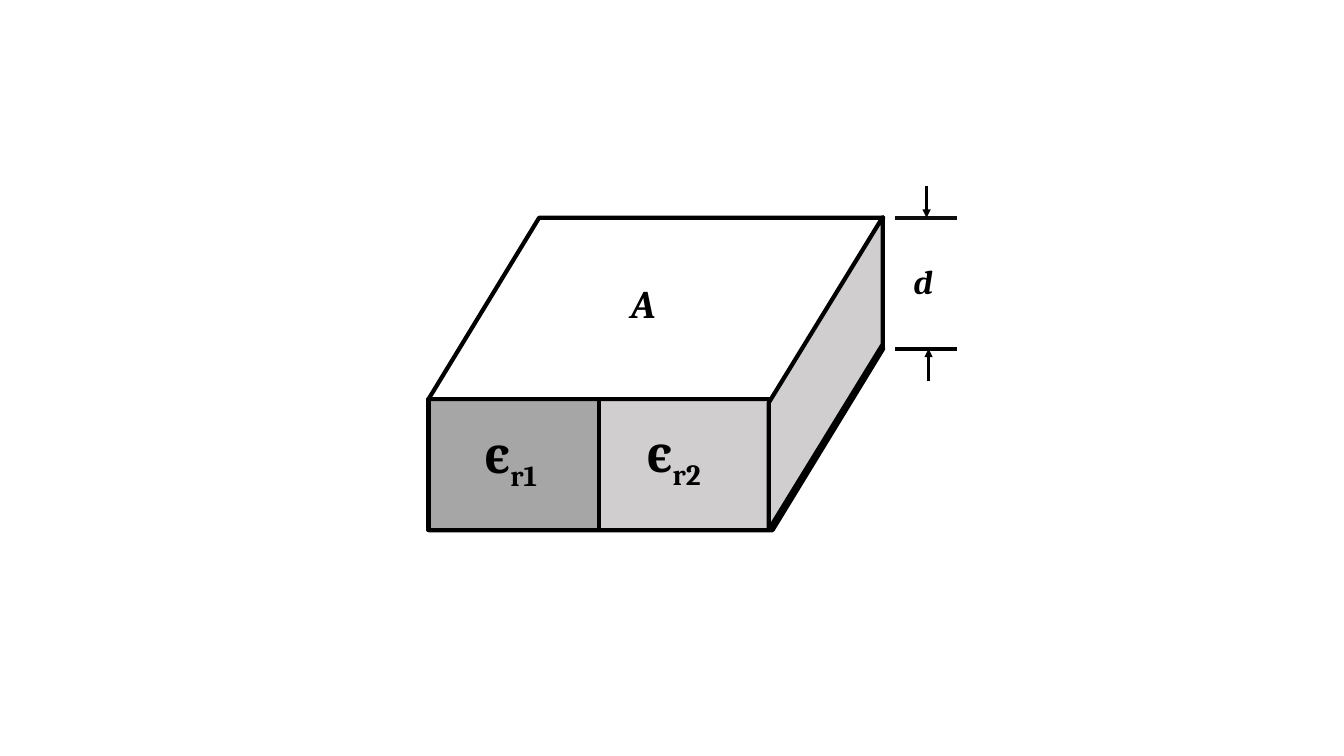
from pptx import Presentation
from pptx.dml.color import RGBColor
from pptx.enum.shapes import MSO_CONNECTOR as Link, MSO_SHAPE as Kind
from pptx.enum.text import MSO_AUTO_SIZE as Fit
from pptx.oxml.ns import qn
from pptx.util import Pt
from lxml.etree import SubElement

PX = 9144  # 100 px to the inch
BLACK, DARK, LIGHT = "000000", "A6A6A6", "D0CECE"

deck = Presentation()
deck.slide_width, deck.slide_height = 1333 * PX, 750 * PX
slide = deck.slides.add_slide(deck.slide_layouts[6])
shapes = slide.shapes


def color(code):
    return RGBColor.from_string(code)


def write(text, at, size, italic=False, sub=""):
    """Add a bold label, with an optional subscript."""
    box = shapes.add_textbox(*[n * PX for n in at])
    frame = box.text_frame
    frame.word_wrap = True
    frame.auto_size = Fit.SHAPE_TO_FIT_TEXT
    for part, base in ((text, 0), (sub, -25000)):
        if not part:
            continue
        run = frame.paragraphs[0].add_run()
        run.text = part
        font = run.font
        font.name, font.size = "Cambria", Pt(size)
        font.bold, font.italic = True, italic
        font.color.rgb = color(BLACK)
        if base:
            run._r.get_or_add_rPr().set("baseline", str(base))


# Block: corners of the front face, and the shift to the back
left, right, top, low = 425, 763, 396, 526
dx, dy = 113, 180
wide, high, half = right - left, low - top, (right - left) // 2
back = right + dx
roof, floor = top - dy, low - dy

# The side face is drawn lying down, then turned by 270 degrees
long = dy + high
side = (right + (dx - long) // 2, roof + (long - dx) // 2, long, dx)

faces = [
    (Kind.PARALLELOGRAM, (left, floor, wide + dx, dy), None, 0.61),
    (Kind.RECTANGLE, (left, top, half, high), DARK, None),
    (Kind.RECTANGLE, (left + half, top, half, high), LIGHT, None),
    (Kind.PARALLELOGRAM, (left, roof, wide + dx, dy), "FFFFFF", 0.61),
    (Kind.PARALLELOGRAM, side, LIGHT, 1.628),
]
for kind, at, fill, slant in faces:
    face = shapes.add_shape(kind, *[n * PX for n in at])
    face.shadow.inherit = False
    if fill:
        face.fill.solid()
        face.fill.fore_color.rgb = color(fill)
    else:
        face.fill.background()
    face.line.color.rgb = color(BLACK)
    face.line.width = Pt(3)
    if slant:
        face.adjustments[0] = slant
    if at == side:
        face.rotation = 270
        face._element.spPr.find(qn("a:xfrm")).set("flipV", "1")

# Back edge, then the lines and arrows that mark the depth
lines = [
    (back, roof, back, floor, BLACK, 3, False),
    (888, roof, 949, roof, "0D0D0D", 3, False),
    (888, floor, 949, floor, BLACK, 3, False),
    (919, roof - 31, 919, roof, BLACK, 2, True),
    (921, floor + 32, 921, floor, BLACK, 2, True),
]
for *ends, ink, width, arrow in lines:
    line = shapes.add_connector(Link.STRAIGHT, *[n * PX for n in ends])
    line.line.color.rgb = color(ink)
    line.line.width = Pt(width)
    if arrow:
        SubElement(line.line._get_or_add_ln(), qn("a:tailEnd"), type="triangle")
    SubElement(line._element.spPr, qn("a:effectLst"))

write("A", (616, 272, 69, 57), 28, italic=True)
write("d", (896, 254, 45, 50), 24, italic=True)
write("ϵ", (470, 415, 97, 71), 36, sub="r1")
write("ϵ", (631, 414, 90, 71), 36, sub="r2")

deck.save("out.pptx")
